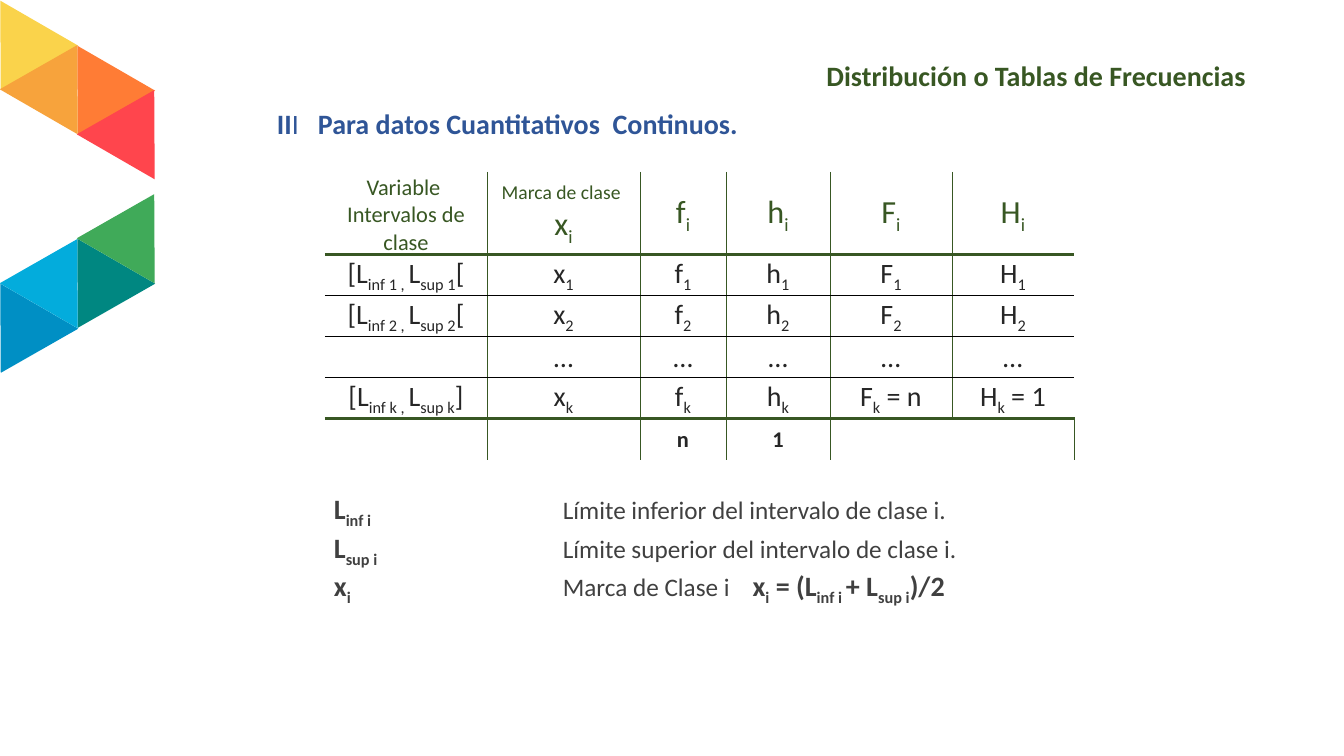
from lxml.etree import SubElement
from pptx import Presentation
from pptx.dml.color import RGBColor
from pptx.enum.shapes import MSO_SHAPE
from pptx.enum.text import MSO_ANCHOR, MSO_AUTO_SIZE, PP_ALIGN
from pptx.oxml.ns import qn
from pptx.util import Emu, Pt

FONT = "Calibri"
GREEN, BLUE, BLACK, INK, GREY = "385723", "2F5597", "000000", "262626", "404040"

# In all wording, braces mark a subscript; a span is (wording, size, bold).
TITLE = [("Distribución o Tablas de Frecuencias", 20, True)]
SUBTITLE = [("II", 20, True), ("I", 20, False),
            ("   Para datos Cuantitativos  Continuos.", 20, True)]
HEADER = [
    [("Variable ", 16), ("Intervalos de clase", 16)],
    [("Marca de clase ", 14), ("x{i}", 23)],
    [("f{i}", 23)], [("h{i}", 23)], [("F{i}", 23)], [("H{i}", 23)],
]
CLASSES = [
    ["[L{inf 1 , }L{sup 1}[", "x{1}", "f{1}", "h{1}", "F{1}", "H{1}"],
    ["[L{inf 2 , }L{sup 2}[", "x{2}", "f{2}", "h{2}", "F{2}", "H{2}"],
    ["", "…", "…", "…", "…", "…"],
    ["[L{inf k , }L{sup k}]", "x{k}", "f{k}", "h{k}", "F{k} = n", "H{k} = 1"],
]
TOTALS = ["", "", "n", "1", "", ""]
LEGEND = [
    [("L{inf i\t}", 20, True), ("Límite inferior del intervalo de clase i.", 18, False)],
    [("L{sup i\t}", 20, True), ("Límite superior del intervalo de clase i.", 18, False)],
    [("x{i\t}", 20, True), ("Marca de Clase i    ", 18, False),
     ("x{i} = (L{inf i }+ L{sup i})/2", 20, True)],
]
COLUMN_WIDTHS = [162, 153, 86, 104, 122, 122]
HEADER_HEIGHT, ROW_HEIGHT = 82, 41
LEGEND_TAB = 229

# Left, top, rotation, colour
TRIANGLES = [
    (-25, 18, 210, "FAD34B"), (52, 63, 210, "FF7C35"),
    (13, 40, 30, "F7A33C"), (90, 85, 30, "FF454D"),
    (52, 256, 210, "008781"), (-25, 301, 210, "008FC4"),
    (13, 234, 30, "03ACDC"), (90, 189, 30, "40AA59"),
]
TRIANGLE_SIZE = (90, 77)


def px(length):
    return Emu(round(length * 914400 / 100.8))


def color(value):
    return RGBColor.from_string(value)


def write(paragraph, spans, ink, align=None):
    """Add the spans as runs, lowering the parts in braces."""
    paragraph.alignment = align
    for wording, size, bold in spans:
        for index, part in enumerate(wording.replace("}", "{").split("{")):
            if not part:
                continue
            run = paragraph.add_run()
            run.text = part
            run.font.name, run.font.size, run.font.bold = FONT, Pt(size), bold
            run.font.color.rgb = color(ink)
            if index % 2:
                run.font._element.set("baseline", "-25000")


def add_text(slide, left, top, width, height):
    frame = slide.shapes.add_textbox(px(left), px(top), px(width), px(height)).text_frame
    frame.word_wrap = True
    return frame


def set_border(cell, side, ink, points):
    """Draw one side (L, R, T or B) of a cell; zero points hides it."""
    line = SubElement(cell._tc.get_or_add_tcPr(), qn(f"a:ln{side}"), w=str(Pt(points)))
    if points:
        SubElement(SubElement(line, qn("a:solidFill")), qn("a:srgbClr"), val=ink)
    else:
        SubElement(line, qn("a:noFill"))


def add_triangles(slide):
    for left, top, rotation, fill in TRIANGLES:
        triangle = slide.shapes.add_shape(MSO_SHAPE.ISOSCELES_TRIANGLE, px(left), px(top),
                                          *map(px, TRIANGLE_SIZE))
        triangle.rotation = rotation
        triangle.shadow.inherit = False
        triangle.fill.solid()
        triangle.fill.fore_color.rgb = color(fill)
        triangle.line.fill.background()


def add_frequency_table(slide):
    rows = [HEADER]
    rows += [[[(wording, 20)] for wording in row] for row in CLASSES]
    rows += [[[(wording, 16)] for wording in TOTALS]]
    last_row, last_column = len(rows) - 1, len(COLUMN_WIDTHS) - 1
    # Horizontal rules from top to bottom of the table
    rules = ([(GREEN, 0), (GREEN, 2.25)] + [(BLACK, 1)] * (len(CLASSES) - 1)
             + [(GREEN, 2.25), (GREEN, 0)])

    table = slide.shapes.add_table(
        len(rows), len(COLUMN_WIDTHS), px(325), px(172), px(sum(COLUMN_WIDTHS)),
        px(HEADER_HEIGHT + last_row * ROW_HEIGHT)).table
    table.first_row = table.horz_banding = False
    for column, width in zip(table.columns, COLUMN_WIDTHS):
        column.width = px(width)

    for r, row in enumerate(rows):
        table.rows[r].height = px(ROW_HEIGHT if r else HEADER_HEIGHT)
        upright = 0.5 if r == last_row else 0.25
        for c, lines in enumerate(row):
            cell = table.cell(r, c)
            cell.vertical_anchor = MSO_ANCHOR.MIDDLE
            cell.margin_left = cell.margin_right = px(14)
            cell.margin_top, cell.margin_bottom = px(2), 0
            set_border(cell, "L", GREEN, upright if c else 0)
            set_border(cell, "R", GREEN, upright if c < last_column else 0)
            set_border(cell, "T", *rules[r])
            set_border(cell, "B", *rules[r + 1])
            cell.fill.background()
            for i, (wording, size) in enumerate(lines):
                frame = cell.text_frame
                paragraph = frame.add_paragraph() if i else frame.paragraphs[0]
                write(paragraph, [(wording, size, r == last_row)],
                      INK if r else GREEN, PP_ALIGN.CENTER)
    table.cell(last_row, last_column - 1).merge(table.cell(last_row, last_column))


def add_legend(slide):
    frame = add_text(slide, 324, 487, 767, 142)
    for i, spans in enumerate(LEGEND):
        paragraph = frame.add_paragraph() if i else frame.paragraphs[0]
        tabs = SubElement(paragraph._p.get_or_add_pPr(), qn("a:tabLst"))
        SubElement(tabs, qn("a:tab"), pos=str(px(LEGEND_TAB)), algn="l")
        write(paragraph, spans, GREY)


def add_title(slide):
    title = slide.shapes.title
    title.left, title.top, title.width, title.height = map(px, (314, 57, 942, 66))
    frame = title.text_frame
    frame.auto_size = MSO_AUTO_SIZE.NONE
    frame.vertical_anchor = MSO_ANCHOR.TOP
    frame.paragraphs[0].line_spacing = 0.9
    write(frame.paragraphs[0], TITLE, GREEN, PP_ALIGN.RIGHT)


def main():
    presentation = Presentation()
    presentation.slide_width, presentation.slide_height = px(1344), px(756)
    slide = presentation.slides.add_slide(presentation.slide_layouts[5])
    add_triangles(slide)
    add_title(slide)
    write(add_text(slide, 267, 102, 490, 44).paragraphs[0], SUBTITLE, BLUE)
    add_frequency_table(slide)
    add_legend(slide)
    presentation.save("out.pptx")


if __name__ == "__main__":
    main()
